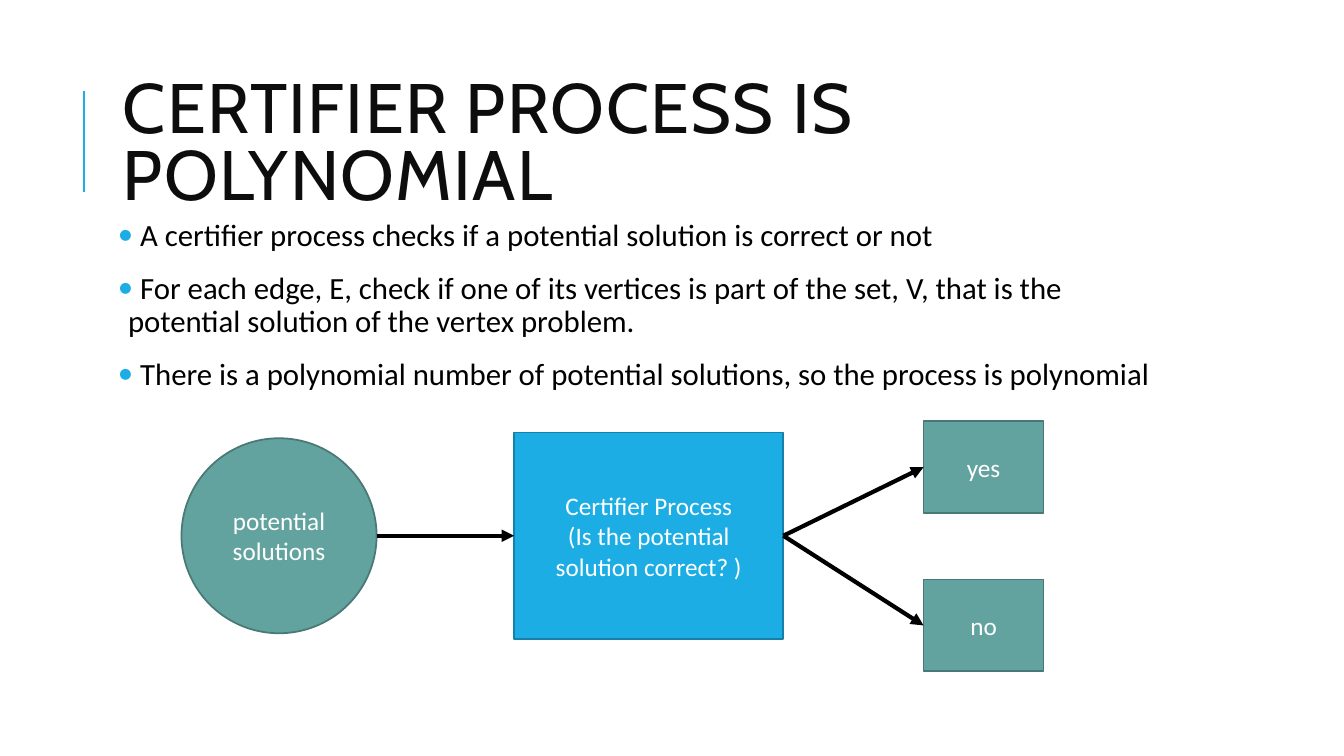
"""Build the slide that shows why the certifier process is polynomial."""
from dataclasses import dataclass

from lxml import etree
from pptx import Presentation
from pptx.dml.color import RGBColor
from pptx.enum.shapes import MSO_CONNECTOR, MSO_SHAPE
from pptx.enum.text import MSO_ANCHOR, PP_ALIGN
from pptx.oxml.ns import qn
from pptx.util import Inches, Pt

STRAIGHT = MSO_CONNECTOR.STRAIGHT
RECTANGLE, OVAL = MSO_SHAPE.RECTANGLE, MSO_SHAPE.OVAL
TOP, MIDDLE = MSO_ANCHOR.TOP, MSO_ANCHOR.MIDDLE
LEFT, CENTER = PP_ALIGN.LEFT, PP_ALIGN.CENTER
LEFT_SIDE, RIGHT_SIDE = 1, 3


@dataclass(frozen=True)
class Theme:
    title_font: str = "Cabin"
    body_font: str = "Calibri"
    title_size: int = 50
    body_size: int = 22
    label_size: int = 18
    title_color: str = "0D0D0D"
    black: str = "000000"
    white: str = "FFFFFF"
    blue: str = "1CADE4"
    blue_edge: str = "1580A9"
    teal: str = "62A39F"
    teal_edge: str = "497976"


THEME = Theme()

TITLE = "CERTIFIER PROCESS IS POLYNOMIAL"
BULLETS = [
    " A certifier process checks if a potential solution is correct or not",
    " For each edge, E, check if one of its vertices is part of the set, V, "
    "that is the potential solution of the vertex problem.",
    " There is a polynomial number of potential solutions, so the process is polynomial",
]
INPUT = ["potential solutions"]
PROCESS = ["Certifier Process", "(Is the potential solution correct? )"]
ANSWERS = ["yes", "no"]

COLUMNS, ROWS = 133.3, 75
CELL = Inches(0.1)
TEXT_COLUMN, TEXT_WIDTH = 11.2, 106.3
TITLE_ROW, TITLE_HEIGHT = 6.4, 16.4
BODY_ROW, BODY_HEIGHT = 21.3, 44
RULE_COLUMN, RULE_TOP, RULE_BOTTOM = 8.3, 9, 19
FLOW_ROW = 53.15
INPUT_COLUMN, INPUT_SIZE = 18, 19.35
PROCESS_COLUMN, PROCESS_WIDTH, PROCESS_HEIGHT = 51, 26.7, 20.5
ANSWER_COLUMN, ANSWER_ROW, ANSWER_PITCH = 91.6, 41.8, 15.7
ANSWER_WIDTH, ANSWER_HEIGHT = 11.9, 9.1


def cells(*counts):
    return [round(count * CELL) for count in counts]


def add_bullet(paragraph, color):
    properties = paragraph._p.get_or_add_pPr()
    properties.set("marL", str(Inches(0.1)))
    properties.set("indent", str(-Inches(0.1)))
    bullet_color = etree.SubElement(properties, qn("a:buClr"))
    etree.SubElement(bullet_color, qn("a:srgbClr")).set("val", color)
    etree.SubElement(properties, qn("a:buFont")).set("typeface", THEME.body_font)
    etree.SubElement(properties, qn("a:buChar")).set("char", "•")


def write(shape, lines, *, size, color, font=THEME.body_font, align=LEFT, anchor=TOP,
          margin=0.1, line_spacing=1.0, before=0, after=0, tracking=0, bullet=None):
    frame = shape.text_frame
    frame.word_wrap = True
    frame.vertical_anchor = anchor
    frame.margin_left = frame.margin_right = Inches(margin)
    frame.margin_top = frame.margin_bottom = Inches(0.05)
    for index, line in enumerate(lines):
        paragraph = frame.add_paragraph() if index else frame.paragraphs[0]
        if bullet:
            add_bullet(paragraph, bullet)
        paragraph.alignment = align
        paragraph.line_spacing = line_spacing
        paragraph.space_before = Pt(before if index else 0)
        paragraph.space_after = Pt(after)
        run = paragraph.add_run()
        run.text = line
        run.font.name = font
        run.font.size = Pt(size)
        run.font.color.rgb = RGBColor.from_string(color)
        if tracking:
            run._r.get_or_add_rPr().set("spc", str(tracking * 100))


def add_node(slide, kind, place, lines, fill, edge):
    shape = slide.shapes.add_shape(kind, *cells(*place))
    shape.shadow.inherit = False
    shape.fill.solid()
    shape.fill.fore_color.rgb = RGBColor.from_string(fill)
    shape.line.color.rgb = RGBColor.from_string(edge)
    shape.line.width = Pt(1.25)
    write(shape, lines, size=THEME.label_size, color=THEME.white, align=CENTER, anchor=MIDDLE)
    return shape


def add_line(slide, start, end, color, width, arrow=False):
    connector = slide.shapes.add_connector(STRAIGHT, *start, *end)
    connector.line.color.rgb = RGBColor.from_string(color)
    connector.line.width = Pt(width)
    if arrow:
        etree.SubElement(connector.line._get_or_add_ln(), qn("a:tailEnd")).set("type", "triangle")
    etree.SubElement(connector._element.spPr, qn("a:effectLst"))
    return connector


def add_arrow(slide, source, target):
    start = (source.left + source.width, source.top + source.height // 2)
    end = (target.left, target.top + target.height // 2)
    arrow = add_line(slide, start, end, THEME.black, 3, arrow=True)
    if source.auto_shape_type == RECTANGLE:
        arrow.begin_connect(source, RIGHT_SIDE)
    arrow.end_connect(target, LEFT_SIDE)


def add_heading_and_bullets(slide):
    add_line(slide, cells(RULE_COLUMN, RULE_BOTTOM), cells(RULE_COLUMN, RULE_TOP),
             THEME.blue, 1.5)
    title = slide.shapes.add_textbox(*cells(TEXT_COLUMN, TITLE_ROW, TEXT_WIDTH, TITLE_HEIGHT))
    write(title, [TITLE], size=THEME.title_size, color=THEME.title_color,
          font=THEME.title_font, anchor=MIDDLE, line_spacing=0.8, tracking=1)
    body = slide.shapes.add_textbox(*cells(TEXT_COLUMN, BODY_ROW, TEXT_WIDTH, BODY_HEIGHT))
    write(body, BULLETS, size=THEME.body_size, color=THEME.black, margin=0.05,
          line_spacing=0.9, before=12, after=2, bullet=THEME.blue)


def add_flow(slide):
    process_place = (PROCESS_COLUMN, FLOW_ROW - PROCESS_HEIGHT / 2,
                     PROCESS_WIDTH, PROCESS_HEIGHT)
    process = add_node(slide, RECTANGLE, process_place, PROCESS, THEME.blue, THEME.blue_edge)
    answers = [
        add_node(slide, RECTANGLE,
                 (ANSWER_COLUMN, ANSWER_ROW + index * ANSWER_PITCH, ANSWER_WIDTH, ANSWER_HEIGHT),
                 [answer], THEME.teal, THEME.teal_edge)
        for index, answer in enumerate(ANSWERS)
    ]
    input_place = (INPUT_COLUMN, FLOW_ROW - INPUT_SIZE / 2, INPUT_SIZE, INPUT_SIZE)
    candidates = add_node(slide, OVAL, input_place, INPUT, THEME.teal, THEME.teal_edge)
    add_arrow(slide, candidates, process)
    for answer in answers:
        add_arrow(slide, process, answer)


def main():
    presentation = Presentation()
    presentation.slide_width, presentation.slide_height = cells(COLUMNS, ROWS)
    slide = presentation.slides.add_slide(presentation.slide_layouts[6])
    add_heading_and_bullets(slide)
    add_flow(slide)
    presentation.save("out.pptx")


if __name__ == "__main__":
    main()
